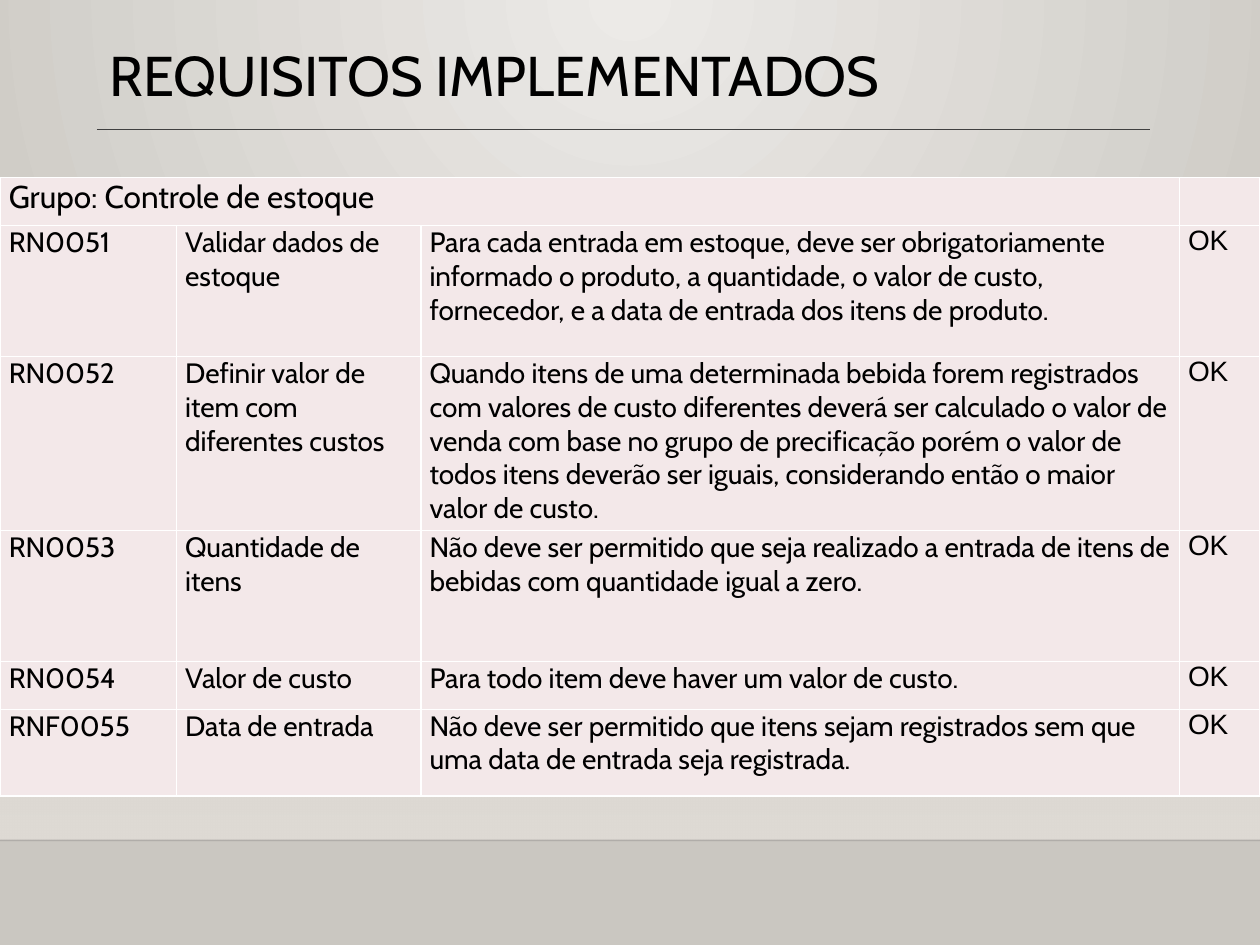
from dataclasses import dataclass

import lxml.etree
import pptx
import pptx.dml.color
import pptx.enum.shapes
import pptx.enum.text
import pptx.oxml
import pptx.oxml.ns
import pptx.util


@dataclass(frozen=True)
class Theme:
    font: str = "Cabin"
    status_font: str = "Arial"
    title_size: int = 32
    group_size: int = 18
    body_size: int = 16
    text: str = "000000"
    rule: str = "404040"
    floor_line: str = "000001"
    cell: str = "F3E8E9"
    border: str = "FFFFFF"
    light: str = "ECEAE7"
    dark: str = "CAC7C1"
    wall: str = "DFDBD5"


THEME = Theme()
WIDTH, HEIGHT = 10, 7.5
FLOOR = 6.67
COLUMNS = [1.4, 1.94, 6.02, 0.64]
ROWS = [0.38, 1.04, 1.38, 1.04, 0.38, 0.69]
GROUP = "Grupo: Controle de estoque"
REQUIREMENTS = [
    ("RN0051", "Validar dados de estoque",
     "Para cada entrada em estoque, deve ser obrigatoriamente informado o produto, "
     "a quantidade, o valor de custo, fornecedor, e a data de entrada dos itens de produto."),
    ("RN0052", "Definir valor de item com diferentes custos",
     "Quando itens de uma determinada bebida forem registrados com valores de custo "
     "diferentes deverá ser calculado o valor de venda com base no grupo de precificação "
     "porém o valor de todos itens deverão ser iguais, considerando então o maior valor de custo."),
    ("RN0053", "Quantidade de itens",
     "Não deve ser permitido que seja realizado a entrada de itens de bebidas com "
     "quantidade igual a zero."),
    ("RN0054", "Valor de custo", "Para todo item deve haver um valor de custo."),
    ("RNF0055", "Data de entrada",
     "Não deve ser permitido que itens sejam registrados sem que uma data de entrada "
     "seja registrada."),
]
STATUS = "OK"


def inches(*lengths):
    return [pptx.util.Inches(length) for length in lengths]


def rgb(value):
    return pptx.dml.color.RGBColor.from_string(value)


def write(frame, text, *, size=THEME.body_size, font=THEME.font, color=THEME.text, spacing=None):
    para = frame.paragraphs[0]
    para.alignment = pptx.enum.text.PP_ALIGN.LEFT
    para.line_spacing = spacing
    span = para.add_run()
    span.text = text
    span.font.size = pptx.util.Pt(size)
    span.font.name = font
    span.font.color.rgb = rgb(color)


def set_gradient(properties, stops, direction):
    """Swap a solid fill for a gradient; stops are (position, colour, opacity) in percent."""
    stop_xml = "".join(
        f'<a:gs pos="{position * 1000}"><a:srgbClr val="{color}">'
        f'<a:alpha val="{opacity * 1000}"/></a:srgbClr></a:gs>'
        for position, color, opacity in stops)
    gradient = pptx.oxml.parse_xml(
        f'<a:gradFill {pptx.oxml.ns.nsdecls("a")} rotWithShape="1">'
        f"<a:gsLst>{stop_xml}</a:gsLst>{direction}</a:gradFill>")
    solid = properties.find(pptx.oxml.ns.qn("a:solidFill"))
    properties.replace(solid, gradient)


def paint_background(page):
    page.background.fill.solid()
    page.background.fill.fore_color.rgb = rgb(THEME.dark)
    set_gradient(
        page.element.xpath("p:cSld/p:bg/p:bgPr")[0],
        [(0, THEME.light, 100), (100, THEME.dark, 100)],
        '<a:path path="circle"><a:fillToRect l="43000" t="0" r="43000" b="100000"/></a:path>')


def add_wall(page):
    wall = page.shapes.add_shape(
        pptx.enum.shapes.MSO_SHAPE.RECTANGLE, *inches(0, 2.2, WIDTH, FLOOR - 2.2))
    wall.shadow.inherit = False
    wall.line.fill.background()
    wall.fill.solid()
    wall.fill.fore_color.rgb = rgb(THEME.wall)
    set_gradient(wall.element.spPr, [(0, THEME.wall, 0), (100, THEME.wall, 100)],
                 '<a:lin ang="5400000" scaled="0"/>')


def add_rule(page, left, right, top, color, weight, opacity=100):
    rule = page.shapes.add_connector(
        pptx.enum.shapes.MSO_CONNECTOR.STRAIGHT, *inches(left, top, right, top))
    rule.line.width = pptx.util.Pt(weight)
    rule.line.color.rgb = rgb(color)
    properties = rule.element.spPr
    if opacity < 100:
        tone = properties.xpath("a:ln/a:solidFill/a:srgbClr")[0]
        alpha = lxml.etree.SubElement(tone, pptx.oxml.ns.qn("a:alpha"))
        alpha.set("val", str(opacity * 1000))
    lxml.etree.SubElement(properties, pptx.oxml.ns.qn("a:effectLst"))


def add_title(page, text):
    title = page.shapes.title
    title.left, title.top, title.width, title.height = inches(0.77, 0.32, 7.19, 0.6)
    frame = title.text_frame
    frame.word_wrap = True
    frame.auto_size = pptx.enum.text.MSO_AUTO_SIZE.NONE
    frame.vertical_anchor = pptx.enum.text.MSO_ANCHOR.MIDDLE
    write(frame, text, size=THEME.title_size, spacing=0.9)


def format_cell(cell):
    cell.margin_left, cell.margin_top, cell.margin_right, cell.margin_bottom = inches(
        0.07, 0, 0.07, 0)
    cell.fill.solid()
    cell.fill.fore_color.rgb = rgb(THEME.cell)
    properties = cell._tc.get_or_add_tcPr()
    for index, side in enumerate("LRTB"):
        properties.insert(index, pptx.oxml.parse_xml(
            f'<a:ln{side} {pptx.oxml.ns.nsdecls("a")} w="{pptx.util.Pt(1)}"><a:solidFill>'
            f'<a:srgbClr val="{THEME.border}"/></a:solidFill></a:ln{side}>'))


def add_requirements(page):
    table = page.shapes.add_table(
        len(ROWS), len(COLUMNS), *inches(0, 1.41, WIDTH, sum(ROWS))).table
    table.first_row = table.horz_banding = False
    for column, width in zip(table.columns, inches(*COLUMNS)):
        column.width = width
    for row, height in zip(table.rows, inches(*ROWS)):
        row.height = height
    for cell in table.iter_cells():
        format_cell(cell)
    table.cell(0, 0).merge(table.cell(0, 2))
    write(table.cell(0, 0).text_frame, GROUP, size=THEME.group_size)
    for row, requirement in enumerate(REQUIREMENTS, start=1):
        for column, text in enumerate(requirement):
            write(table.cell(row, column).text_frame, text)
        write(table.cell(row, 3).text_frame, STATUS, font=THEME.status_font)


def main():
    deck = pptx.Presentation()
    deck.slide_width, deck.slide_height = inches(WIDTH, HEIGHT)
    page = deck.slides.add_slide(deck.slide_layouts.get_by_name("Title Only"))
    paint_background(page)
    add_wall(page)
    add_rule(page, 0, WIDTH, FLOOR, THEME.floor_line, 1, opacity=20)
    add_title(page, "REQUISITOS IMPLEMENTADOS")
    add_rule(page, 0.77, 9.13, 1.03, THEME.rule, 0.75)
    add_requirements(page)
    deck.save("out.pptx")


if __name__ == "__main__":
    main()
